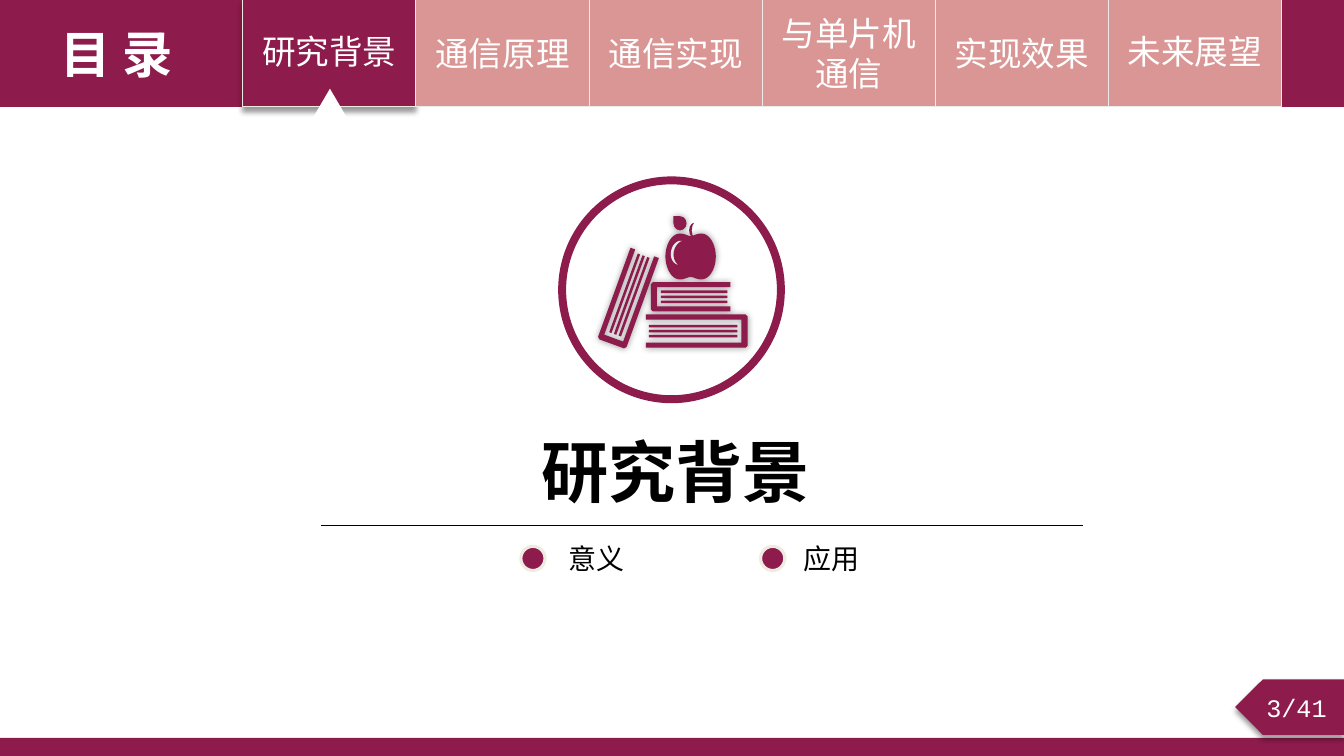
from dataclasses import dataclass
from math import cos, pi, radians, sin

from lxml.etree import SubElement
from pptx import Presentation
from pptx.dml.color import RGBColor
from pptx.enum.shapes import MSO_CONNECTOR, MSO_SHAPE
from pptx.enum.text import MSO_ANCHOR, MSO_AUTO_SIZE, PP_ALIGN
from pptx.oxml.ns import qn
from pptx.util import Inches, Pt


@dataclass(frozen=True)
class Theme:
    wine: RGBColor = RGBColor(0x8D, 0x1B, 0x4C)
    rose: RGBColor = RGBColor(0xD9, 0x96, 0x94)
    cream: RGBColor = RGBColor(0xEE, 0xEC, 0xE1)
    pale_grey: RGBColor = RGBColor(0xEA, 0xEA, 0xEA)
    white: RGBColor = RGBColor(0xFF, 0xFF, 0xFF)
    black: RGBColor = RGBColor(0, 0, 0)
    font: str = "Calibri"
    number_font: str = "Courier New"
    title: int = 48
    heading: int = 36
    tab: int = 24
    topic: int = 20
    number: int = 18


theme = Theme()
presentation = Presentation()
presentation.slide_width, presentation.slide_height = Inches(13.34), Inches(7.5)
slide = presentation.slides.add_slide(presentation.slide_layouts[5])


def add_block(kind, left, top, width, height, fill, line=None, line_width=0.75):
    shape = slide.shapes.add_shape(
        kind, Inches(left), Inches(top), Inches(width), Inches(height)
    )
    shape.shadow.inherit = False
    shape.fill.solid()
    shape.fill.fore_color.rgb = fill
    if line is None:
        shape.line.fill.background()
    else:
        shape.line.color.rgb = line
        shape.line.width = Pt(line_width)
    return shape


def write(shape, text, size, color, align=PP_ALIGN.CENTER, bold=False, font=theme.font):
    """Fill the shape with one formatted paragraph and return it."""
    shape.text_frame.text = text
    shape.text_frame.word_wrap = True
    paragraph = shape.text_frame.paragraphs[0]
    paragraph.alignment = align
    paragraph.font.name = font
    paragraph.font.size = Pt(size)
    paragraph.font.bold = bold
    paragraph.font.color.rgb = color
    return paragraph


# Footer and page number
add_block(MSO_SHAPE.RECTANGLE, 0, 7.32, 13.34, 0.18, theme.wine)
page_flag = add_block(MSO_SHAPE.PENTAGON, 12.26, 6.74, 1.08, 0.55, theme.wine)
page_flag.element.spPr.find(qn("a:xfrm")).set("flipH", "1")
write(page_flag, "3/41", theme.number, theme.white, font=theme.number_font)

# Navigation bar
bar_height, tabs_left, tabs_right = 1.06, 2.41, 12.72
add_block(MSO_SHAPE.RECTANGLE, 0, 0, tabs_left, bar_height, theme.wine)
add_block(MSO_SHAPE.RECTANGLE, tabs_right, 0, 0.62, bar_height, theme.wine)
heading = slide.shapes.add_textbox(Inches(0.1), Inches(0.18), Inches(2.12), Inches(0.71))
write(heading, "目 录", theme.heading, theme.white, bold=True)

sections = ["研究背景", "通信原理", "通信实现", "与单片机通信", "实现效果", "未来展望"]
tab_width = (tabs_right - tabs_left) / len(sections)
tabs = []
for index, section in enumerate(sections):
    fill, line = (theme.rose, theme.pale_grey) if index else (theme.wine, theme.cream)
    tab = add_block(MSO_SHAPE.RECTANGLE, tabs_left + index * tab_width, 0,
                    tab_width, bar_height, fill, line)
    paragraph = write(tab, section, theme.tab, theme.white)
    if index in (0, len(sections) - 1):
        paragraph.line_spacing = 0.9
        paragraph.space_before = Pt(10)
    tabs.append(tab)
add_block(MSO_SHAPE.ISOSCELES_TRIANGLE, 2.97, 0.88, 0.61, 0.52, theme.white)

# Ring around the icon
ring = add_block(MSO_SHAPE.DONUT, 5.54, 1.75, 2.25, 2.25, theme.wine)
ring.adjustments[0] = 0.035

# Books: each is drawn flat from its spine corner, then turned by its angle
cover, spine, corner = 0.05, 0.06, 0.02
page_count, page_height, page_pitch, page_inset = 3, 0.025, 0.05, 0.1
books = [  # corner x, corner y, length, thickness, angle
    (6.46, 2.80, 0.79, 0.29, 0),
    (7.42, 3.45, 1.01, 0.33, 180),
    (5.93, 3.36, 0.96, 0.30, -70),
]
outlines = []
for corner_x, corner_y, length, thickness, angle in books:
    inner = thickness - cover
    flat_outlines = [[
        (length, 0), (corner, 0), (0, corner), (0, thickness - corner),
        (corner, thickness), (length, thickness), (length, inner),
        (spine, inner), (spine, cover), (length, cover),
    ]]
    pages_height = (page_count - 1) * page_pitch + page_height
    for page in range(page_count):
        top = (thickness - pages_height) / 2 + page * page_pitch
        bottom, end = top + page_height, length - 0.03
        flat_outlines.append(
            [(page_inset, top), (end, top), (end, bottom), (page_inset, bottom)]
        )
    across, down = cos(radians(angle)), sin(radians(angle))
    for outline in flat_outlines:
        outlines.append([(corner_x + along * across - depth * down,
                          corner_y + along * down + depth * across)
                         for along, depth in outline])

# Apple: an ellipse dented at its top and bottom
apple_x, apple_y, radius_x, radius_y, dent, point_count = 6.855, 2.545, 0.25, 0.29, 0.3, 72
apple = []
for index in range(point_count):
    turn = 2 * pi * index / point_count
    reach = 1 - dent * cos(turn) ** 8
    apple.append((apple_x + radius_x * reach * sin(turn),
                  apple_y - radius_y * reach * cos(turn)))
outlines.append(apple)

builder = slide.shapes.build_freeform()
for outline in outlines:
    points = [(Inches(x), Inches(y)) for x, y in outline]
    builder.move_to(*points[0])
    builder.add_line_segments(points[1:], close=True)
icon = builder.convert_to_shape()
icon.shadow.inherit = False
icon.fill.solid()
icon.fill.fore_color.rgb = theme.wine
icon.line.fill.background()

stem = add_block(MSO_SHAPE.MOON, 6.84, 2.21, 0.05, 0.15, theme.wine)
leaf = add_block(MSO_SHAPE.TEAR, 6.68, 2.15, 0.14, 0.13, theme.wine)
leaf.rotation = 270
highlight = add_block(MSO_SHAPE.MOON, 6.66, 2.38, 0.09, 0.24, theme.pale_grey)
highlight.adjustments[0] = 0.3
highlight.rotation = 10

# Title and rule
title = slide.shapes.title
title.left, title.top = Inches(4.04), Inches(4.22)
title.width, title.height = Inches(5.33), Inches(0.91)
write(title, sections[0], theme.title, theme.black, bold=True)
title.text_frame.auto_size = MSO_AUTO_SIZE.NONE
title.text_frame.vertical_anchor = MSO_ANCHOR.TOP

rule = slide.shapes.add_connector(
    MSO_CONNECTOR.STRAIGHT, Inches(3.19), Inches(5.21), Inches(10.75), Inches(5.21)
)
rule.line.color.rgb = theme.black
rule.line.width = Pt(0.75)
SubElement(rule.element.spPr, qn("a:effectLst"))

# Topics
for topic, dot_left, text_left in (("意义", 5.17, 5.54), ("应用", 7.55, 7.88)):
    add_block(MSO_SHAPE.OVAL, dot_left, 5.42, 0.24, 0.24, theme.wine, theme.cream, 2.25)
    label = slide.shapes.add_textbox(
        Inches(text_left), Inches(5.32), Inches(0.82), Inches(0.43)
    )
    write(label, topic, theme.topic, theme.black, PP_ALIGN.LEFT)

# Soft shadows: blur and distance in points
for shape, blur, distance in ((page_flag, 4, 3), (tabs[0], 4, 3), (icon, 5, 0), (leaf, 5, 0)):
    effects = shape.element.spPr.find(qn("a:effectLst"))
    shadow = SubElement(effects, qn("a:outerShdw"), blurRad=str(Pt(blur)),
                        dist=str(Pt(distance)), dir="5400000", rotWithShape="0")
    color = SubElement(shadow, qn("a:srgbClr"), val=str(theme.black))
    SubElement(color, qn("a:alpha"), val="40000")

presentation.save("out.pptx")
